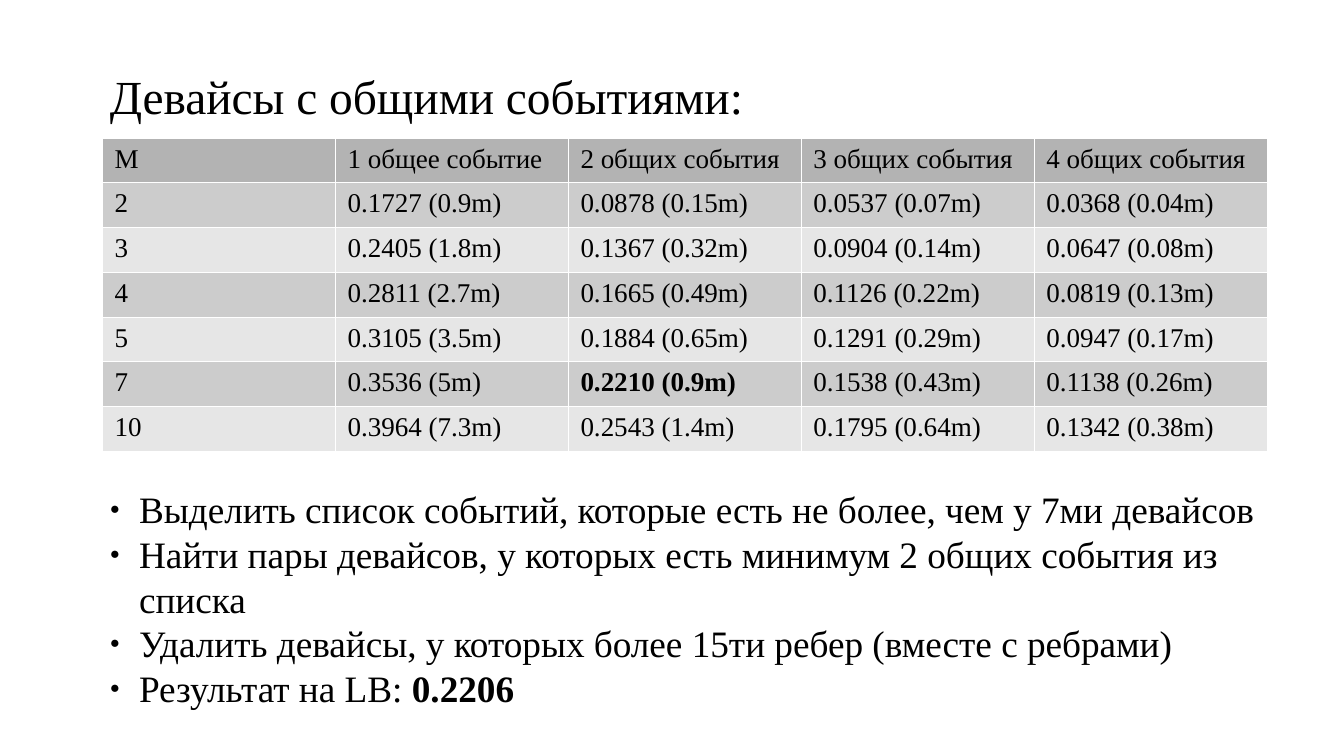
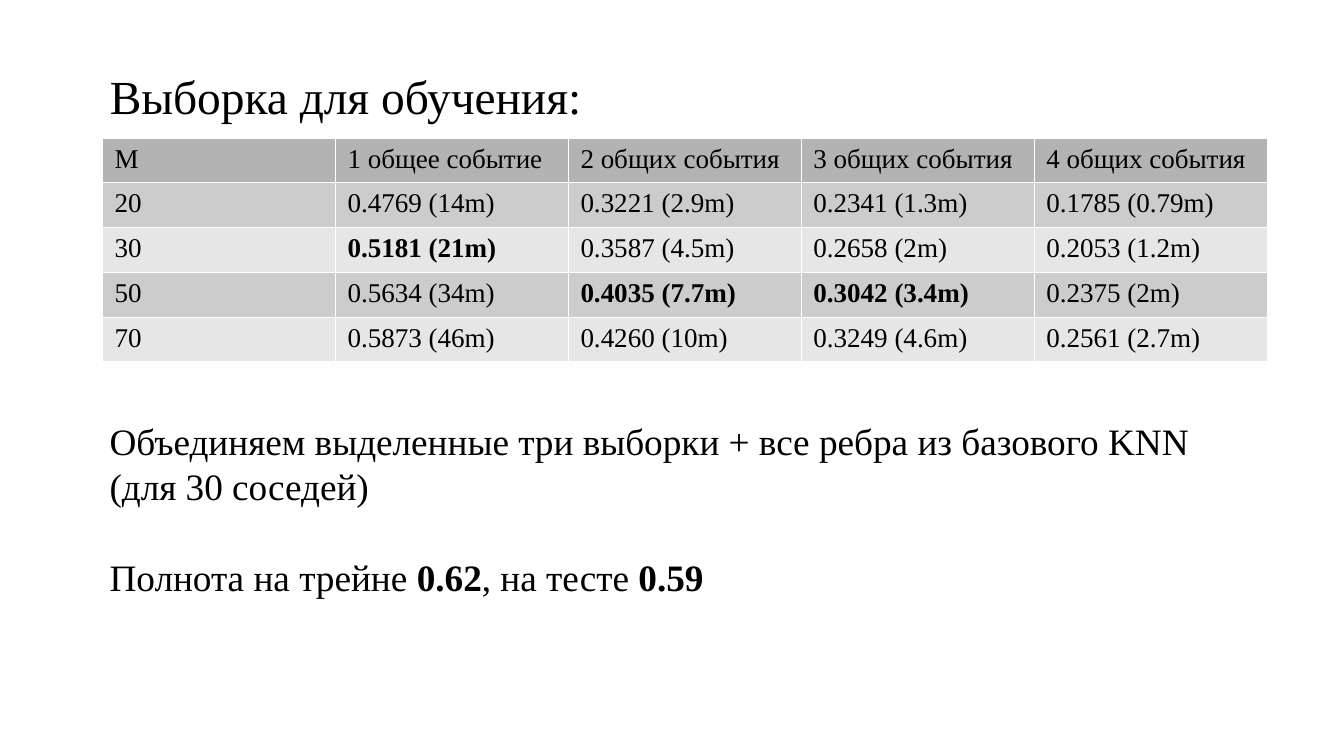
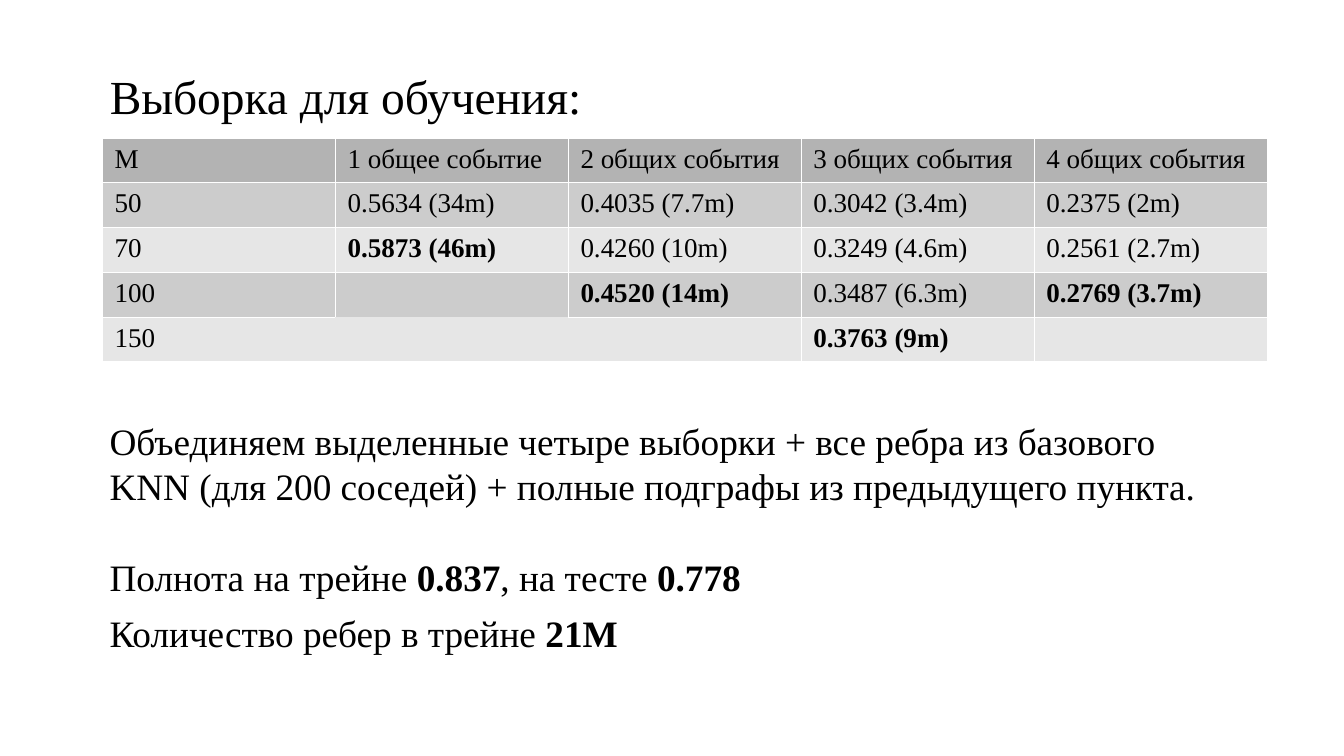
"""Build three slides of shared-event tables with their conclusions."""
import pptx
import pptx.util
import pptx.dml.color
import pptx.enum.text
import pptx.oxml.ns
from lxml import etree

Inches, Pt = pptx.util.Inches, pptx.util.Pt
qn = pptx.oxml.ns.qn

COLORS = {"text": "000000", "line": "FFFFFF", "head": "B3B3B3",
          "odd": "CCCCCC", "even": "E6E6E6"}
FONT = "Times New Roman"
LEFT = 0.8
HEADER = ["M", "1 общее событие", "2 общих события", "3 общих события",
          "4 общих события"]


def rgb(name):
    return pptx.dml.color.RGBColor.from_string(COLORS[name])


def sub(parent, tag, **attrs):
    return etree.SubElement(parent, qn(tag), attrs)


def write(p, text, size=22, bullet=False):
    p.alignment = pptx.enum.text.PP_ALIGN.LEFT
    p.space_before = Pt(0)
    if bullet:
        pPr = p._p.get_or_add_pPr()
        pPr.set("marL", str(Inches(0.24)))
        pPr.set("indent", str(Inches(-0.24)))
        sub(sub(pPr, "a:buClr"), "a:srgbClr", val=COLORS["text"])
        sub(pPr, "a:buSzPct", val="45000")
        sub(pPr, "a:buChar", char="●")
    if not text:
        sub(p._p, "a:endParaRPr", sz=str(size * 100))
    for i, part in enumerate(text.split("*")):
        if part:
            r = p.add_run()
            r.text = part
            r.font.name = FONT
            r.font.size = Pt(size)
            r.font.bold = i % 2 == 1
            r.font.color.rgb = rgb("text")


class Deck:
    def __init__(self):
        self.prs = pptx.Presentation()
        self.prs.slide_width = Inches(11.02)
        self.prs.slide_height = Inches(6.2)
        self.s = None

    def place(self, sp, top, width, height, wrap=True):
        sp.left, sp.top = Inches(LEFT), Inches(top)
        sp.width, sp.height = Inches(width), Inches(height)
        tf = sp.text_frame
        tf.word_wrap = wrap
        tf.auto_size = pptx.enum.text.MSO_AUTO_SIZE.SHAPE_TO_FIT_TEXT
        tf.vertical_anchor = pptx.enum.text.MSO_ANCHOR.TOP
        return tf

    def slide(self, title, width, layout="Title Only"):
        self.s = self.prs.slides.add_slide(self.prs.slide_layouts.get_by_name(layout))
        tf = self.place(self.s.shapes.title, 0.5, width, 0.53)
        write(tf.paragraphs[0], title, size=28)

    def bullets(self, items, top, width, height):
        tf = self.place(self.s.placeholders[1], top, width, height)
        for i, item in enumerate(items):
            write(tf.add_paragraph() if i else tf.paragraphs[0], item, bullet=True)

    def text(self, text, top, width, height=0.44, wrap=False):
        sp = self.s.shapes.add_textbox(0, 0, 0, 0)
        tf = self.place(sp, top, width, height, wrap)
        write(tf.paragraphs[0], text)

    def borders(self, cell, row, col, bare):
        tcPr = cell._tc.get_or_add_tcPr()
        neighbours = {"L": (row, col - 1), "R": (row, col + 1),
                      "T": (row - 1, col), "B": (row + 1, col)}
        for side, other in neighbours.items():
            ln = sub(tcPr, "a:ln" + side, w=str(Pt(0.06)))
            if bare in ((row, col), other):
                sub(ln, "a:noFill")
            else:
                sub(sub(ln, "a:solidFill"), "a:srgbClr", val=COLORS["line"])

    def table(self, body, bare=None):
        rows = [HEADER] + body
        row_h, col_w = 0.35, 1.91
        tbl = self.s.shapes.add_table(
            len(rows), len(HEADER), Inches(0.84), Inches(1.13),
            Inches(col_w * len(HEADER)), Inches(row_h * len(rows))).table
        tbl.first_row = tbl.horz_banding = False
        for i, row in enumerate(rows):
            tbl.rows[i].height = Inches(row_h)
            fill = "head" if i == 0 else "odd" if i % 2 else "even"
            for j, value in enumerate(row):
                cell = tbl.cell(i, j)
                self.borders(cell, i, j, bare)
                cell.fill.solid()
                cell.fill.fore_color.rgb = rgb(fill)
                write(cell.text_frame.paragraphs[0], value, size=16)


def main():
    deck = Deck()

    deck.slide("Девайсы с общими событиями:", 6, "Title and Content")
    deck.table([
        ["2", "0.1727 (0.9m)", "0.0878 (0.15m)", "0.0537 (0.07m)", "0.0368 (0.04m)"],
        ["3", "0.2405 (1.8m)", "0.1367 (0.32m)", "0.0904 (0.14m)", "0.0647 (0.08m)"],
        ["4", "0.2811 (2.7m)", "0.1665 (0.49m)", "0.1126 (0.22m)", "0.0819 (0.13m)"],
        ["5", "0.3105 (3.5m)", "0.1884 (0.65m)", "0.1291 (0.29m)", "0.0947 (0.17m)"],
        ["7", "0.3536 (5m)", "*0.2210 (0.9m)*", "0.1538 (0.43m)", "0.1138 (0.26m)"],
        ["10", "0.3964 (7.3m)", "0.2543 (1.4m)", "0.1795 (0.64m)", "0.1342 (0.38m)"],
    ])
    deck.bullets([
        "Выделить список событий, которые есть не более, чем у 7ми девайсов",
        "Найти пары девайсов, у которых есть минимум 2 общих события из списка",
        "Удалить девайсы, у которых более 15ти ребер (вместе с ребрами)",
        "Результат на LB: *0.2206*",
    ], 3.94, 10, 1.8)

    deck.slide("Выборка для обучения:", 4.6)
    deck.table([
        ["20", "0.4769 (14m)", "0.3221 (2.9m)", "0.2341 (1.3m)", "0.1785 (0.79m)"],
        ["30", "*0.5181 (21m)*", "0.3587 (4.5m)", "0.2658 (2m)", "0.2053 (1.2m)"],
        ["50", "0.5634 (34m)", "*0.4035 (7.7m)*", "*0.3042 (3.4m)*", "0.2375 (2m)"],
        ["70", "0.5873 (46m)", "0.4260 (10m)", "0.3249 (4.6m)", "0.2561 (2.7m)"],
    ])
    deck.text("Объединяем выделенные три выборки + все ребра из базового KNN "
              "(для 30 соседей)", 3.38, 9.1, 0.78, wrap=True)
    deck.text("Полнота на трейне *0.62*, на тесте *0.59*", 4.5, 5.08)

    deck.slide("Выборка для обучения:", 4.6)
    deck.table([
        ["50", "0.5634 (34m)", "0.4035 (7.7m)", "0.3042 (3.4m)", "0.2375 (2m)"],
        ["70", "*0.5873 (46m)*", "0.4260 (10m)", "0.3249 (4.6m)", "0.2561 (2.7m)"],
        ["100", "", "*0.4520 (14m)*", "0.3487 (6.3m)", "*0.2769 (3.7m)*"],
        ["150", "", "", "*0.3763 (9m)*", ""],
    ], bare=(4, 1))
    deck.text("Объединяем выделенные четыре выборки + все ребра из базового KNN "
              "(для 200 соседей) + полные подграфы из предыдущего пункта.",
              3.38, 9.1, 1.12, wrap=True)
    deck.text("Полнота на трейне *0.837*, на тесте *0.778*", 4.5, 5.38)
    deck.text("Количество ребер в трейне *21М*", 4.96, 4.37)

    deck.prs.save("out.pptx")


if __name__ == "__main__":
    main()
